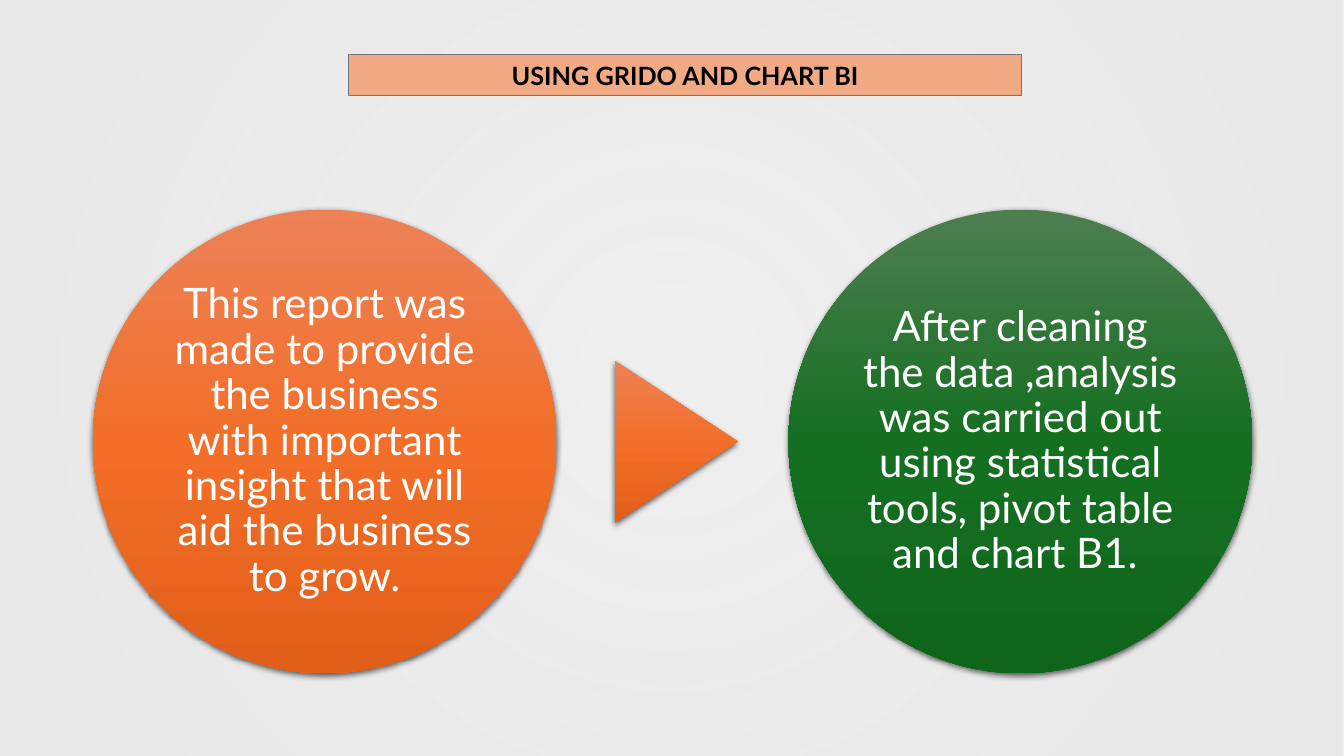
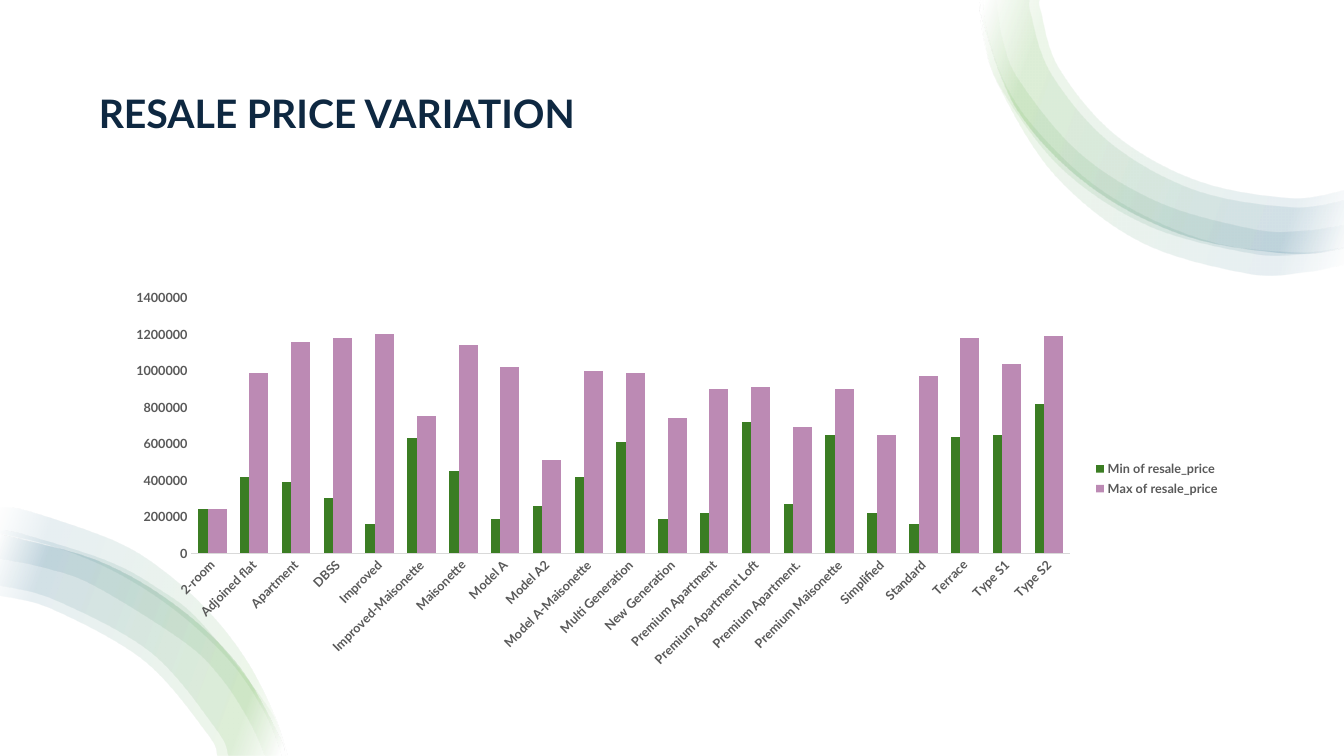
from dataclasses import dataclass

from lxml import etree
from pptx import Presentation, util as u
from pptx.chart.data import CategoryChartData
from pptx.dml.color import RGBColor
from pptx.enum import chart as charts, shapes, text
from pptx.oxml.ns import qn

WIDTH, HEIGHT = 13.33, 7.5


@dataclass(frozen=True)
class Theme:
    font: str = "Lato"
    white: str = "FFFFFF"
    black: str = "000000"
    navy: str = "0E2841"
    peach: str = "F2AA84"
    grey: str = "747474"
    label: str = "595959"
    axis: str = "D9D9D9"
    minimum: str = "3B7D23"
    maximum: str = "BC8AB4"
    heading: int = 28
    body: int = 30
    banner: int = 18
    small: int = 9
    # Gradient stops: position in percent, colour, opacity in percent
    backdrop: tuple = ((10, "E8E8E8", 68), (85, "E8E8E8", 97))
    orange: tuple = ((0, "ED8257", 100), (50, "F26E29", 100), (100, "E25F1A", 100))
    green: tuple = ((0, "4D7E50", 100), (50, "156F21", 100), (100, "0F661B", 100))
    ribbon: tuple = ((2, "FFFFFF", 10), (16, "4EA72E", 10),
                     (85, "156082", 10), (100, "FFFFFF", 10))


THEME = Theme()

# Each ribbon corner: edge curves by name, then the (outer, inner) pairs to fill
TOP_EDGES = {
    "main": [(9.73, 0), (9.74, 0.2), (10.09, 1.1), (10.8, 1.84), (11.74, 2.33),
             (12.79, 2.51), (13.33, 2.45)],
    "wide": [(10.31, 0), (10.32, 0.12), (10.5, 0.68), (11.06, 1.34), (11.87, 1.79),
             (12.79, 1.96), (13.33, 1.88)],
    "medium": [(10.21, 0), (10.22, 0.14), (10.42, 0.73), (11, 1.41), (11.84, 1.88),
               (12.79, 2.05), (13.33, 1.98)],
    "slim outer": [(9.73, 0), (9.78, 0.43), (9.94, 0.89), (10.54, 1.68), (11.39, 2.24),
                   (12.39, 2.51), (12.91, 2.52), (13.33, 2.46)],
    "slim inner": [(9.89, 0), (9.95, 0.39), (10.12, 0.81), (10.71, 1.52), (11.5, 2.01),
                   (12.42, 2.27), (12.89, 2.29), (13.33, 2.23)],
    "rim outer": [(9.71, 0), (9.75, 0.38), (9.91, 0.87), (10.46, 1.74), (11.31, 2.4),
                  (12.36, 2.71), (12.92, 2.7), (13.33, 2.62)],
    "rim inner": [(9.74, 0), (9.8, 0.37), (9.97, 0.84), (10.25, 1.26), (10.79, 1.79),
                  (11.43, 2.18), (12.14, 2.43), (12.9, 2.5), (13.33, 2.45)],
}
BOTTOM_EDGES = {
    "main": [(2.82, 7.5), (2.76, 7.3), (2.35, 6.59), (1.73, 6), (0.96, 5.56), (0, 5.3)],
    "wide": [(2.15, 7.5), (2.05, 7.28), (1.43, 6.56), (0.53, 6.05), (0, 5.91)],
    "medium": [(2.26, 7.5), (2.14, 7.24), (1.5, 6.48), (0.56, 5.96), (0, 5.81)],
    "slim outer": [(2.83, 7.5), (2.68, 7.05), (2, 6.18), (1.56, 5.83), (1.06, 5.56),
                   (0.24, 5.3), (0, 5.26)],
    "slim inner": [(2.63, 7.5), (2.47, 7.15), (2.19, 6.72), (1.82, 6.36), (0.94, 5.81),
                   (0.44, 5.63), (0, 5.54)],
    "rim outer": [(2.85, 7.5), (2.71, 7.08), (2.45, 6.57), (2.1, 6.11), (1.66, 5.7),
                  (1.15, 5.38), (0.29, 5.08), (0, 5.04)],
    "rim inner": [(2.79, 7.5), (2.64, 7.11), (2.34, 6.64), (1.95, 6.24), (1.51, 5.9),
                  (1.02, 5.62), (0.5, 5.42), (0, 5.3)],
}
RIBBONS = [("main", "wide"), ("main", "medium"),
           ("slim outer", "slim inner"), ("rim outer", "rim inner")]

# Home type, lowest and highest resale price in thousands
PRICES = [
    ("2-room", 240, 240), ("Adjoined flat", 420, 990), ("Apartment", 390, 1160),
    ("DBSS", 300, 1180), ("Improved", 160, 1200), ("Improved-Maisonette", 630, 750),
    ("Maisonette", 450, 1140), ("Model A", 190, 1020), ("Model A2", 260, 510),
    ("Model A-Maisonette", 420, 1000), ("Multi Generation", 610, 990),
    ("New Generation", 190, 740), ("Premium Apartment", 220, 900),
    ("Premium Apartment Loft", 720, 910), ("Premium Apartment.", 270, 690),
    ("Premium Maisonette", 650, 900), ("Simplified", 220, 650), ("Standard", 160, 970),
    ("Terrace", 640, 1180), ("Type S1", 650, 1040), ("Type S2", 820, 1190),
]


def rgb(colour):
    return RGBColor.from_string(colour)


def inches(*lengths):
    return [u.Inches(length) for length in lengths]


def assign(target, **values):
    for name, value in values.items():
        setattr(target, name, value)


def style_font(font, size, colour, bold=False):
    assign(font, name=THEME.font, size=u.Pt(size), bold=bold)
    font.color.rgb = rgb(colour)


def paint_solid(fill, colour):
    fill.solid()
    fill.fore_color.rgb = rgb(colour)


def add_colour(parent, colour, opacity):
    node = etree.SubElement(parent, qn("a:srgbClr"), val=colour)
    if opacity < 100:
        etree.SubElement(node, qn("a:alpha"), val=str(opacity * 1000))


def paint_gradient(fill, stops, angle=None):
    """Fill with stops along a clockwise angle, or outwards from the centre without one."""
    fill.gradient()
    gradient = fill._xPr.find(qn("a:gradFill"))
    for child in list(gradient):
        gradient.remove(child)
    gradient.set("rotWithShape", "1")
    stop_list = etree.SubElement(gradient, qn("a:gsLst"))
    for position, colour, opacity in stops:
        stop = etree.SubElement(stop_list, qn("a:gs"), pos=str(position * 1000))
        add_colour(stop, colour, opacity)
    if angle is None:
        radial = etree.SubElement(gradient, qn("a:path"))
        radial.set("path", "circle")
        etree.SubElement(radial, qn("a:fillToRect"), **dict.fromkeys("ltrb", "50000"))
    else:
        etree.SubElement(gradient, qn("a:lin"), ang=str(angle * 60000), scaled="0")


def strip_outline(shape):
    shape.line.fill.background()
    shape.shadow.inherit = False


def add_backdrop(page):
    """Cover the slide with a plain rectangle behind everything else."""
    backdrop = page.shapes.add_shape(shapes.MSO_SHAPE.RECTANGLE,
                                     *inches(0, 0, WIDTH, HEIGHT))
    strip_outline(backdrop)
    page.shapes._spTree.insert(2, backdrop._element)
    return backdrop


def write(shape, words, size, colour, bold=False, align=text.PP_ALIGN.CENTER,
          inset=0.1, spacing=0.9):
    frame = shape.text_frame
    margin = u.Inches(inset)
    assign(frame, text=words, word_wrap=True, auto_size=text.MSO_AUTO_SIZE.NONE,
           vertical_anchor=text.MSO_ANCHOR.MIDDLE, margin_left=margin, margin_right=margin,
           margin_top=u.Inches(0.04), margin_bottom=u.Inches(0.04))
    para = frame.paragraphs[0]
    assign(para, alignment=align, line_spacing=spacing)
    style_font(para.runs[0].font, size, colour, bold)


def add_title(page, words, box, size, colour, **layout):
    title = page.shapes.title
    assign(title, **dict(zip(("left", "top", "width", "height"), inches(*box))))
    write(title, words, size, colour, bold=True, **layout)
    return title


def add_glossy(page, kind, box, stops, angle=90):
    """Add a borderless gradient shape with a soft shadow below it."""
    shape = page.shapes.add_shape(kind, *inches(*box))
    paint_gradient(shape.fill, stops, angle)
    strip_outline(shape)
    effects = shape._element.spPr.find(qn("a:effectLst"))
    shadow = etree.SubElement(effects, qn("a:outerShdw"), blurRad=str(u.Pt(4.5)),
                              dist=str(u.Pt(1.5)), dir="5400000", rotWithShape="0")
    add_colour(shadow, THEME.black, 63)
    return shape


def bezier_points(points):
    """Return two controls and an end for each span of a smooth curve through the points."""
    padded = [points[0], *points, points[-1]]
    curve = []
    for a, b, c, d in zip(padded, padded[1:], padded[2:], padded[3:]):
        leave = tuple(q + (r - p) / 6 for p, q, r in zip(a, b, c))
        arrive = tuple(r - (s - q) / 6 for q, r, s in zip(b, c, d))
        curve += [leave, arrive, c]
    return curve


def add_ribbon(page, outer, inner, angle):
    back = inner[::-1]
    outline = bezier_points(outer) + [outer[-1], back[0], back[0]] + bezier_points(back)
    builder = page.shapes.build_freeform(*inches(*outer[0]), scale=1.0)
    builder.add_line_segments([inches(*point) for point in outline], close=True)
    ribbon = builder.convert_to_shape()
    lines = list(ribbon._element.iter(qn("a:lnTo")))[:len(outline)]
    for group in zip(lines[::3], lines[1::3], lines[2::3]):
        curve = etree.Element(qn("a:cubicBezTo"))
        group[0].addprevious(curve)
        for line in group:
            curve.append(line[0])
            line.getparent().remove(line)
    paint_gradient(ribbon.fill, THEME.ribbon, angle)
    strip_outline(ribbon)


def add_price_chart(page, box):
    names, lowest, highest = zip(*PRICES)
    data = CategoryChartData()
    data.categories = names
    series = (("Min of resale_price", lowest, THEME.minimum),
              ("Max of resale_price", highest, THEME.maximum))
    for name, values, _ in series:
        data.add_series(name, [value * 1000 for value in values])
    chart = page.shapes.add_chart(charts.XL_CHART_TYPE.COLUMN_CLUSTERED,
                                  *inches(*box), data).chart
    style_font(chart.font, THEME.small, THEME.label, bold=True)
    assign(chart, has_title=False, has_legend=True)
    assign(chart.legend, position=charts.XL_LEGEND_POSITION.RIGHT, include_in_layout=False)
    plot = chart.plots[0]
    assign(plot, gap_width=70, overlap=50, vary_by_categories=False)
    for column, (_, _, colour) in zip(plot.series, series):
        paint_solid(column.format.fill, colour)

    for axis in (chart.category_axis, chart.value_axis):
        assign(axis, has_major_gridlines=False, major_tick_mark=charts.XL_TICK_MARK.NONE,
               minor_tick_mark=charts.XL_TICK_MARK.NONE)
        style_font(axis.tick_labels.font, THEME.small, THEME.label, bold=True)
    assign(chart.value_axis, minimum_scale=0, maximum_scale=1400000, major_unit=200000)
    chart.value_axis.format.line.fill.background()
    base_line = chart.category_axis.format.line
    base_line.color.rgb = rgb(THEME.axis)
    base_line.width = u.Pt(0.75)
    label_body = chart.category_axis._element.find(qn("c:txPr")).find(qn("a:bodyPr"))
    label_body.set("rot", str(-45 * 60000))


def build_purpose(page):
    paint_gradient(add_backdrop(page).fill, THEME.backdrop)
    banner = add_title(page, "USING GRIDO AND CHART BI", (3.46, 0.54, 6.67, 0.41),
                       THEME.banner, THEME.black, spacing=1.0)
    paint_solid(banner.fill, THEME.peach)
    banner.line.color.rgb = rgb(THEME.grey)
    banner.line.width = u.Pt(0.75)

    top, size = 2.08, 4.6
    circles = (
        (0.92, THEME.orange, "This report was made to provide the business with "
         "important insight that will aid the business to grow."),
        (7.82, THEME.green, "After cleaning the data ,analysis was carried "
         "out using statistical tools, pivot table and chart B1. "),
    )
    for left, stops, words in circles:
        circle = add_glossy(page, shapes.MSO_SHAPE.OVAL, (left, top, size, size), stops)
        write(circle, words, THEME.body, THEME.white, inset=0.04)

    base, length = 1.61, 1.22
    pointer = add_glossy(page, shapes.MSO_SHAPE.ISOSCELES_TRIANGLE,
                         (5.9, top + (size - length) / 2, base, length),
                         THEME.orange, angle=0)
    pointer.rotation = 90


def build_variation(page):
    paint_solid(add_backdrop(page).fill, THEME.white)
    add_title(page, "RESALE PRICE VARIATION", (0.88, 0.5, 11.57, 1.3),
              THEME.heading, THEME.navy, align=text.PP_ALIGN.LEFT)
    for edges, angle in ((TOP_EDGES, 20), (BOTTOM_EDGES, 200)):
        for outer, inner in RIBBONS:
            add_ribbon(page, edges[outer], edges[inner], angle)
    add_price_chart(page, (1.13, 2.8, 11.07, 3.9))


def main():
    deck = Presentation()
    assign(deck, slide_width=u.Inches(WIDTH), slide_height=u.Inches(HEIGHT))
    title_only = deck.slide_layouts[5]
    for build in (build_purpose, build_variation):
        build(deck.slides.add_slide(title_only))
    deck.save("out.pptx")


if __name__ == "__main__":
    main()
